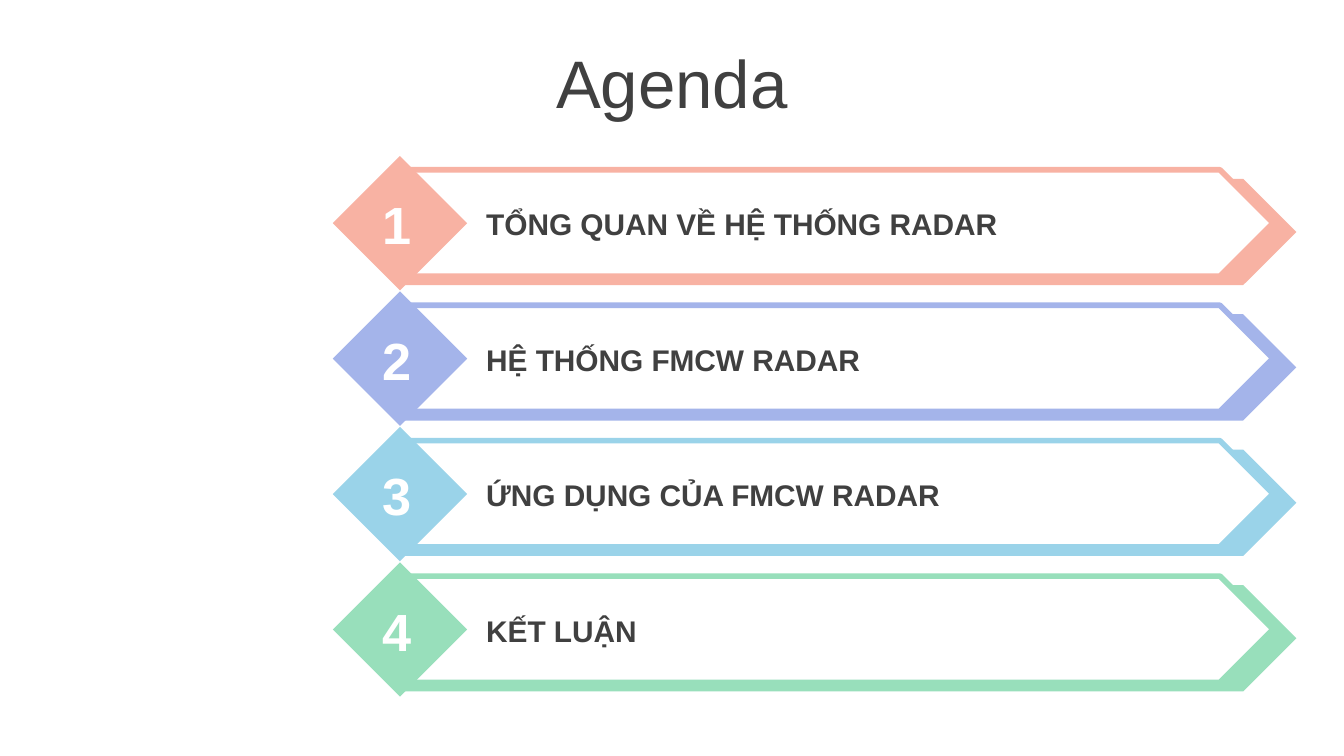
from pptx import Presentation
from pptx.dml.color import RGBColor
from pptx.enum.shapes import MSO_SHAPE as Shape
from pptx.enum.text import MSO_ANCHOR as Anchor, MSO_AUTO_SIZE as AutoSize, PP_ALIGN as Align
from pptx.util import Cm, Pt

COLORS = {
    "text": "404040",
    "white": "FFFFFF",
    "coral": "F8B2A3",
    "violet": "A4B4EA",
    "sky": "9AD3E9",
    "mint": "98DFBB",
}
ITEMS = [
    ("TỔNG QUAN VỀ HỆ THỐNG RADAR", "coral"),
    ("HỆ THỐNG FMCW RADAR", "violet"),
    ("ỨNG DỤNG CỦA FMCW RADAR", "sky"),
    ("KẾT LUẬN", "mint"),
]
FIRST_TOP = 2.95
PITCH = 2.56


def add_filled(group, kind, left, top, width, height, fill, line=None):
    shape = group.shapes.add_shape(kind, Cm(left), Cm(top), Cm(width), Cm(height))
    shape.shadow.inherit = False
    shape.fill.solid()
    shape.fill.fore_color.rgb = RGBColor.from_string(COLORS[fill])
    if line:
        shape.line.color.rgb = RGBColor.from_string(COLORS[line])
        shape.line.width = Pt(3)
    else:
        shape.line.fill.background()


def write_text(shape, text, size, color, bold, align, anchor, auto_size):
    frame = shape.text_frame
    frame.word_wrap = True
    frame.auto_size = auto_size
    frame.vertical_anchor = anchor
    paragraph = frame.paragraphs[0]
    paragraph.alignment = align
    run = paragraph.add_run()
    run.text = text
    run.font.name = "Arial"
    run.font.size = Pt(size)
    run.font.bold = bold
    run.font.color.rgb = RGBColor.from_string(COLORS[color])


presentation = Presentation()
presentation.slide_width = Cm(25.4)
presentation.slide_height = Cm(14.29)
slide = presentation.slides.add_slide(presentation.slide_layouts[5])

# Title
title = slide.shapes.title
title.left, title.top, title.width, title.height = Cm(0), Cm(0.74), Cm(25.4), Cm(1.6)
write_text(title, "Agenda", 36, "text", False, Align.CENTER, Anchor.MIDDLE, AutoSize.NONE)

# Agenda items: banner with its offset backing, diamond, number and heading
for index, (heading, color) in enumerate(ITEMS):
    top = FIRST_TOP + index * PITCH

    banner = slide.shapes.add_group_shape()
    add_filled(banner, Shape.PENTAGON, 7.63, top + 0.43, 16.87, 2.01, color)
    add_filled(banner, Shape.PENTAGON, 7.63, top + 0.26, 16.43, 2.01, "white", color)
    add_filled(banner, Shape.DIAMOND, 6.29, top, 2.54, 2.54, color)

    number_box = slide.shapes.add_textbox(Cm(6.95), Cm(top + 0.56), Cm(1.12), Cm(1.45))
    write_text(number_box, str(index + 1), 28, "white", True,
               Align.CENTER, Anchor.MIDDLE, AutoSize.SHAPE_TO_FIT_TEXT)

    heading_box = slide.shapes.add_textbox(Cm(8.94), Cm(top + 0.82), Cm(13.21), Cm(0.94))
    write_text(heading_box, heading, 16, "text", True,
               Align.LEFT, Anchor.TOP, AutoSize.SHAPE_TO_FIT_TEXT)

presentation.save("out.pptx")
